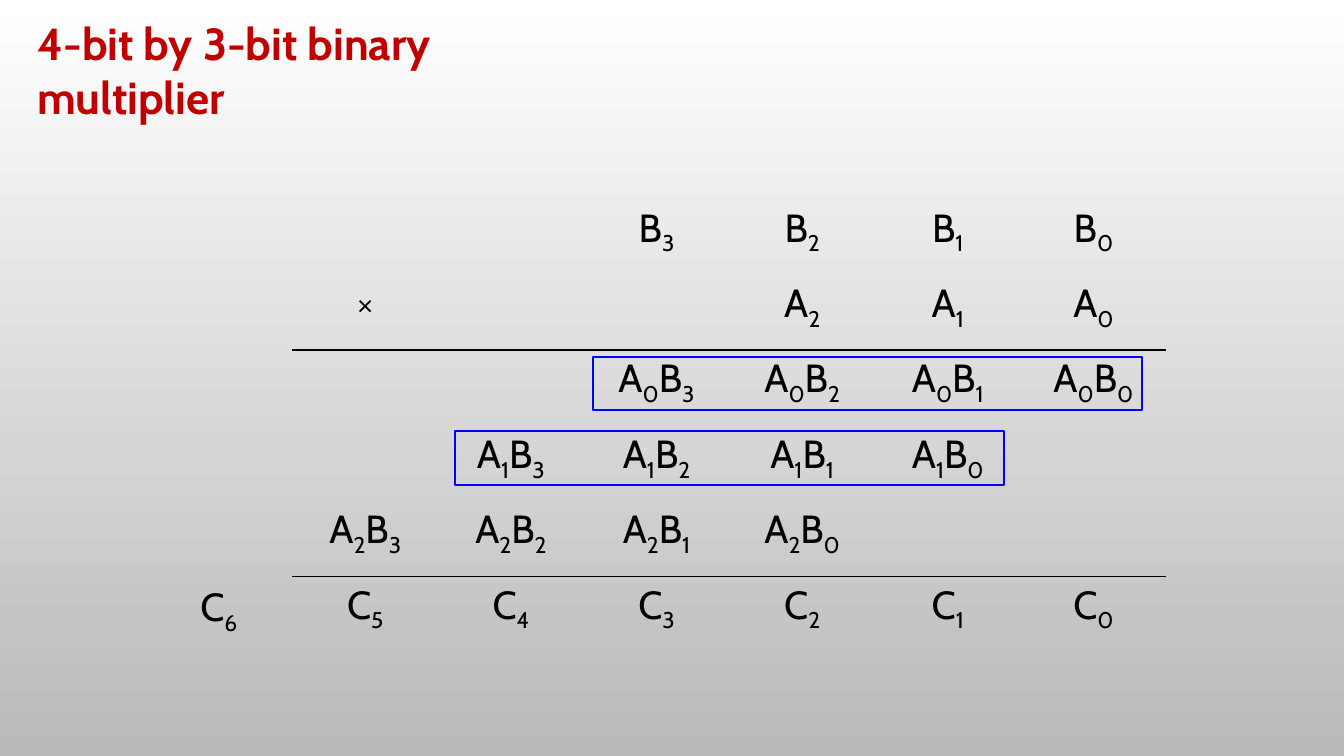
from dataclasses import dataclass

from lxml.etree import SubElement
from pptx import Presentation
from pptx.dml.color import RGBColor
from pptx.enum.shapes import MSO_SHAPE
from pptx.enum.text import MSO_AUTO_SIZE, PP_ALIGN
from pptx.oxml.ns import qn
from pptx.util import Cm, Pt


@dataclass(frozen=True)
class Theme:
    font: str = "Cabin"
    head: float = 32
    body: float = 28
    rule: float = 1
    frame: float = 1.25
    red: str = "C00000"
    black: str = "000000"
    blue: str = "0000FF"
    light: str = "FFFFFF"
    dark: str = "B9B9B9"


@dataclass(frozen=True)
class Box:
    left: float
    top: float
    width: float
    height: float

    def place(self) -> tuple:
        return Cm(self.left), Cm(self.top), Cm(self.width), Cm(self.height)


THEME = Theme()
COLS, ROWS = 6, 7
GRID = Box(7.37, 3.12, 3.67 * COLS, 1.9 * ROWS)
HEAD = Box(0.69, 0.28, 14.86, 1.63)
CARRY = Box(4.78, 14.55, 1.47, 1.45)
FRAMES = [Box(14.94, 8.99, 13.84, 1.35), Box(11.46, 10.87, 13.84, 1.35)]
RULES = (2, 5)  # rows with a line below

HEAD_FONT = {"name": THEME.font, "size": Pt(THEME.head), "bold": True}
BODY_FONT = {"name": THEME.font, "size": Pt(THEME.body)}


def add_run(para, text: str, style: dict, color: str):
    run = para.add_run()
    run.text = text
    for key, value in style.items():
        setattr(run.font, key, value)
    run.font.color.rgb = RGBColor.from_string(color)
    return run


def add_term(para, term: str) -> None:
    """Write a term such as A0B3 with its digits as subscripts."""
    para.alignment = PP_ALIGN.CENTER
    for mark in term:
        run = add_run(para, mark, BODY_FONT, THEME.black)
        if mark.isdigit():
            run.font._element.set("baseline", "-25000")


def add_label(slide, box: Box, wrap: bool):
    frame = slide.shapes.add_textbox(*box.place()).text_frame
    frame.word_wrap = wrap
    frame.auto_size = MSO_AUTO_SIZE.SHAPE_TO_FIT_TEXT
    return frame.paragraphs[0]


def get_terms() -> dict[tuple[int, int], str]:
    """Map row and column to a term; bit n stands n columns from the right."""
    last = COLS - 1
    terms = {(2, 0): "×"}
    for b in range(4):
        terms[1, last - b] = f"B{b}"
        for a in range(3):
            terms[3 + a, last - a - b] = f"A{a}B{b}"
    for a in range(3):
        terms[2, last - a] = f"A{a}"
    for c in range(COLS):
        terms[6, last - c] = f"C{c}"
    return terms


def set_edges(cell, row: int) -> None:
    props = cell._tc.get_or_add_tcPr()
    ruled = {"T": row - 1 in RULES, "B": row in RULES}
    for side in "LRTB":
        line = SubElement(props, qn(f"a:ln{side}"), w=str(Pt(THEME.rule)))
        if ruled.get(side):
            fill = SubElement(line, qn("a:solidFill"))
            SubElement(fill, qn("a:srgbClr"), val=THEME.black)
        else:
            SubElement(line, qn("a:noFill"))


def add_grid(slide) -> None:
    table = slide.shapes.add_table(ROWS, COLS, *GRID.place()).table
    table.first_row = table.horz_banding = False
    for col in table.columns:
        col.width = Cm(GRID.width / COLS)
    terms = get_terms()
    for r, row in enumerate(table.rows):
        row.height = Cm(GRID.height / ROWS)
        for c, cell in enumerate(row.cells):
            set_edges(cell, r)
            cell.fill.background()
            if (r, c) in terms:
                add_term(cell.text_frame.paragraphs[0], terms[r, c])


def add_frame(slide, box: Box) -> None:
    shape = slide.shapes.add_shape(MSO_SHAPE.RECTANGLE, *box.place())
    shape.shadow.inherit = False
    shape.fill.background()
    shape.line.color.rgb = RGBColor.from_string(THEME.blue)
    shape.line.width = Pt(THEME.frame)


def set_back(slide) -> None:
    fill = slide.background.fill
    fill.gradient()
    fill.gradient_angle = 270
    for stop, color in zip(fill.gradient_stops, (THEME.light, THEME.dark)):
        stop.color.rgb = RGBColor.from_string(color)


def main() -> None:
    deck = Presentation()
    deck.slide_width, deck.slide_height = Cm(33.87), Cm(19.05)
    slide = deck.slides.add_slide(deck.slide_layouts[6])
    set_back(slide)

    # Title
    title = add_label(slide, HEAD, True)
    add_run(title, "4-bit by 3-bit binary multiplier", HEAD_FONT, THEME.red)

    # Long multiplication and its carry bit
    add_grid(slide)
    add_term(add_label(slide, CARRY, False), "C6")

    # Frames around the first two partial products
    for box in FRAMES:
        add_frame(slide, box)

    deck.save("out.pptx")


if __name__ == "__main__":
    main()
